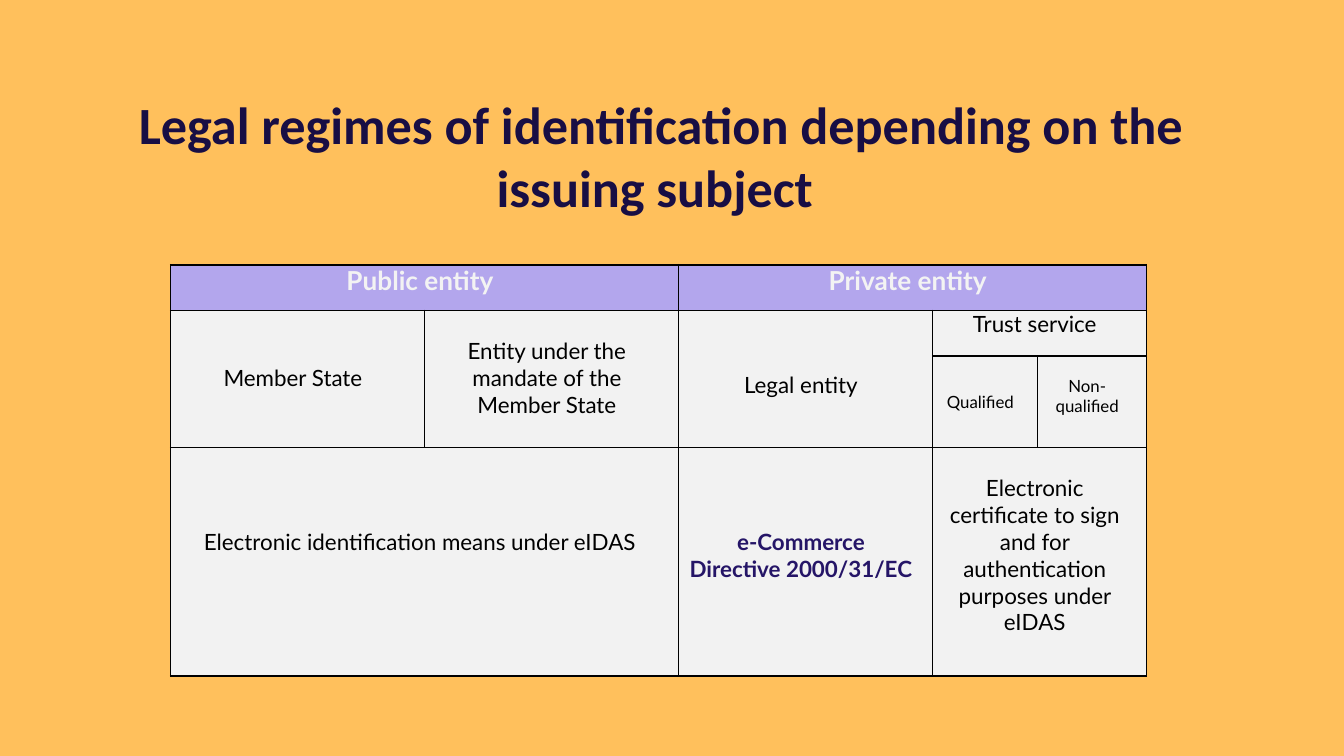
from lxml import etree
from pptx import Presentation
from pptx.dml.color import RGBColor
from pptx.enum.text import MSO_ANCHOR, PP_ALIGN
from pptx.oxml.ns import qn
from pptx.util import Inches, Pt

CENTER = PP_ALIGN.CENTER
TOP = MSO_ANCHOR.TOP

# Content
TITLE = "Legal regimes of identification depending on the issuing subject "
COLS = [1.89, 1.89, 1.89, 0.78, 0.81]
ROWS = [0.34, 0.34, 0.68, 1.7]
BACKGROUND, LILAC, GREY, BLACK = "FFC05C", "B3A6ED", "F2F2F2", "000000"

TITLE_FORMAT = {"name": "Calibri", "size": Pt(28), "bold": True, "color": "180E44"}
HEAD = {"name": "Lato", "size": Pt(14), "bold": True, "color": "F3F3F3"}
BODY = {"name": "Lato", "size": Pt(12), "bold": False, "color": BLACK}
SMALL = {**BODY, "size": Pt(9)}
STRONG = {**BODY, "bold": True, "color": "251567"}

# row, column, row span, column span, space above the text, format, text
CELLS = [
    (0, 0, 1, 2, 0, HEAD, "Public entity"),
    (0, 2, 1, 3, 0, HEAD, "Private entity"),
    (1, 0, 2, 1, 0.4, BODY, "Member State"),
    (1, 1, 2, 1, 0.2, BODY, "Entity under the mandate of the Member State"),
    (1, 2, 2, 1, 0.45, BODY, "Legal entity"),
    (1, 3, 1, 2, 0, BODY, "Trust service"),
    (2, 3, 1, 1, 0.27, SMALL, "Qualified"),
    (2, 4, 1, 1, 0.15, SMALL, "Non-qualified"),
    (3, 0, 1, 2, 0.6, BODY, "Electronic identification means under eIDAS"),
    (3, 2, 1, 1, 0.6, STRONG, "e-Commerce Directive 2000/31/EC"),
    (3, 3, 1, 2, 0.2, BODY, "Electronic certificate to sign and for "
                            "authentication purposes under eIDAS"),
]


def rgb(value):
    return RGBColor.from_string(value)


def write(tf, text, fmt):
    p = tf.paragraphs[0]
    p.alignment = CENTER
    r = p.add_run()
    r.text = text
    for key, value in fmt.items():
        if key == "color":
            r.font.color.rgb = rgb(value)
        else:
            setattr(r.font, key, value)


def add_borders(cell):
    tc_pr = cell._tc.get_or_add_tcPr()
    for side in ("lnL", "lnR", "lnT", "lnB"):
        ln = etree.SubElement(tc_pr, qn(f"a:{side}"), w=str(Pt(1)))
        fill = etree.SubElement(ln, qn("a:solidFill"))
        etree.SubElement(fill, qn("a:srgbClr"), val=BLACK)


# Widescreen 16:9 slide
prs = Presentation()
prs.slide_width, prs.slide_height = Inches(10), Inches(10 * 9 / 16)
s = prs.slides.add_slide(prs.slide_layouts[6])
s.background.fill.solid()
s.background.fill.fore_color.rgb = rgb(BACKGROUND)

# Title
title = s.shapes.add_textbox(Inches(0.79), Inches(0.59), Inches(8.25), Inches(0.63))
tf = title.text_frame
tf.word_wrap = True
tf.vertical_anchor = TOP
for side in ("left", "top", "right", "bottom"):
    setattr(tf, f"margin_{side}", Inches(0.1))
write(tf, TITLE, TITLE_FORMAT)

# Table grid
table = s.shapes.add_table(len(ROWS), len(COLS), Inches(1.27), Inches(1.97),
                           Inches(sum(COLS)), Inches(sum(ROWS))).table
table.first_row = table.horz_banding = False
for col, width in zip(table.columns, COLS):
    col.width = Inches(width)
for row, height in zip(table.rows, ROWS):
    row.height = Inches(height)

for cell in table.iter_cells():
    cell.margin_left, cell.margin_right = Inches(0.08), Inches(0.15)
    cell.margin_top = cell.margin_bottom = 0
    cell.vertical_anchor = TOP
    add_borders(cell)
    cell.fill.solid()
    cell.fill.fore_color.rgb = rgb(GREY)

# Merged cells and their text
for row, col, row_span, col_span, space, fmt, text in CELLS:
    cell = table.cell(row, col)
    if row_span * col_span > 1:
        cell.merge(table.cell(row + row_span - 1, col + col_span - 1))
    cell.margin_top = Inches(space)
    if fmt is HEAD:
        cell.fill.fore_color.rgb = rgb(LILAC)
    write(cell.text_frame, text, fmt)

prs.save("out.pptx")
